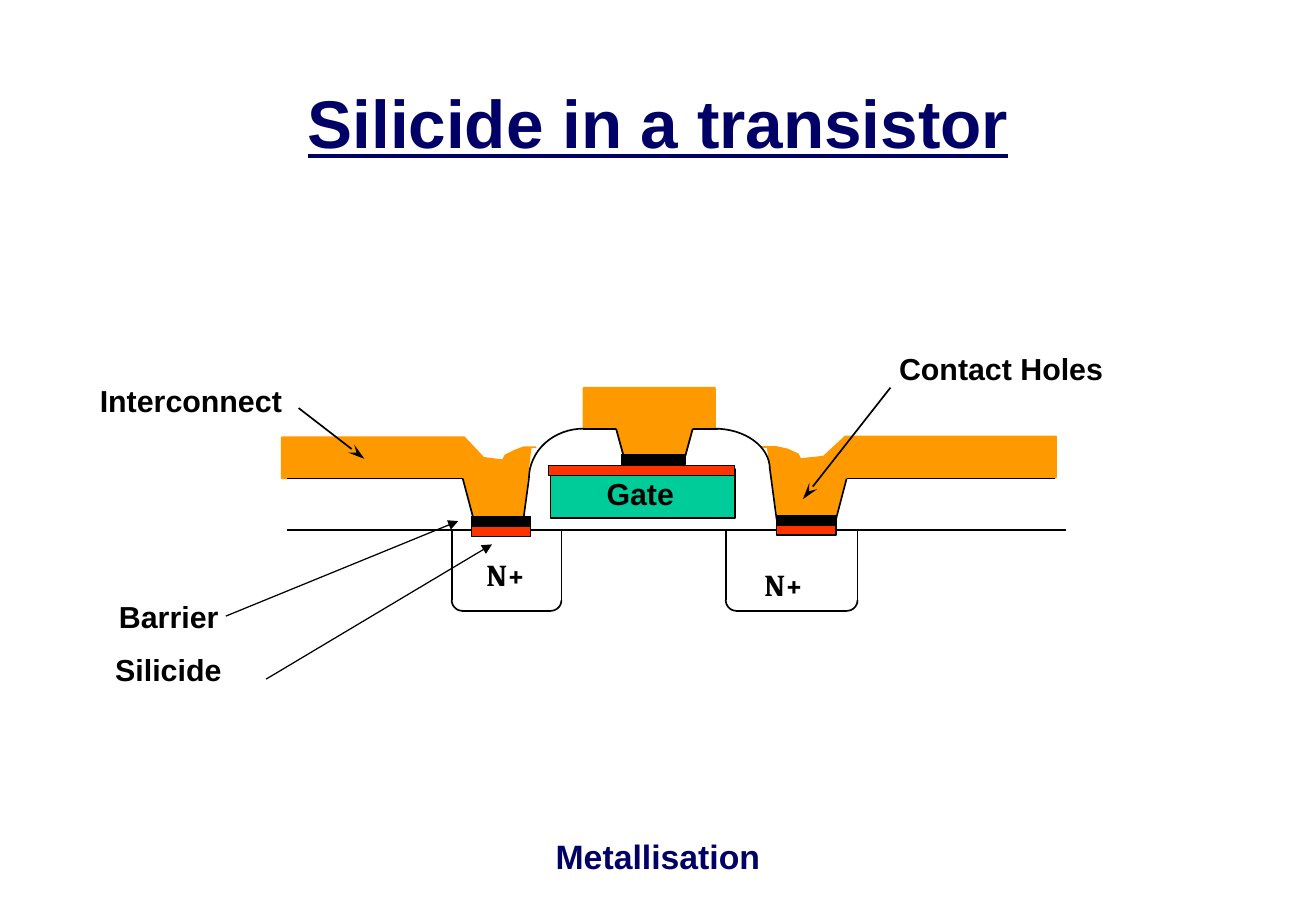
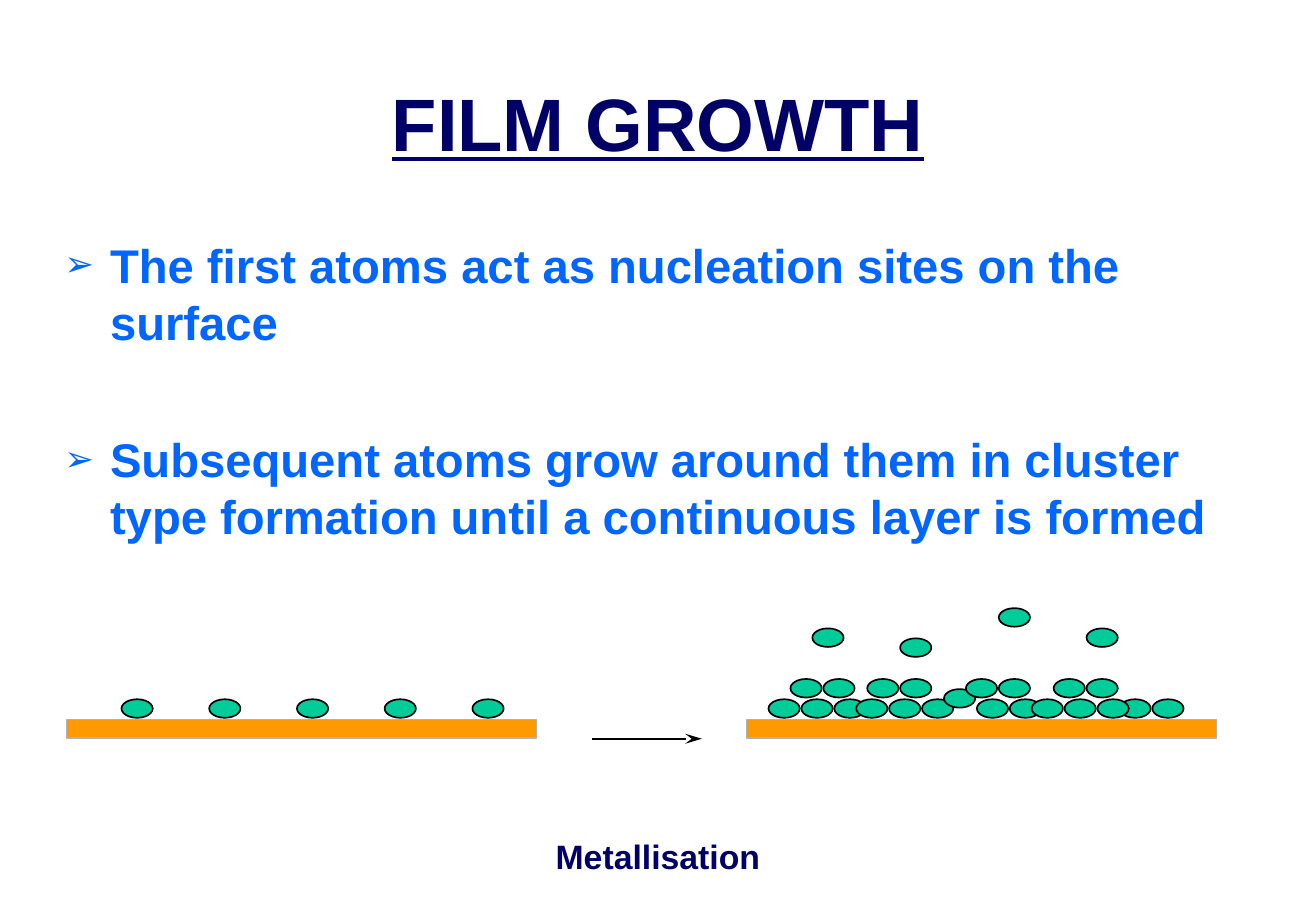
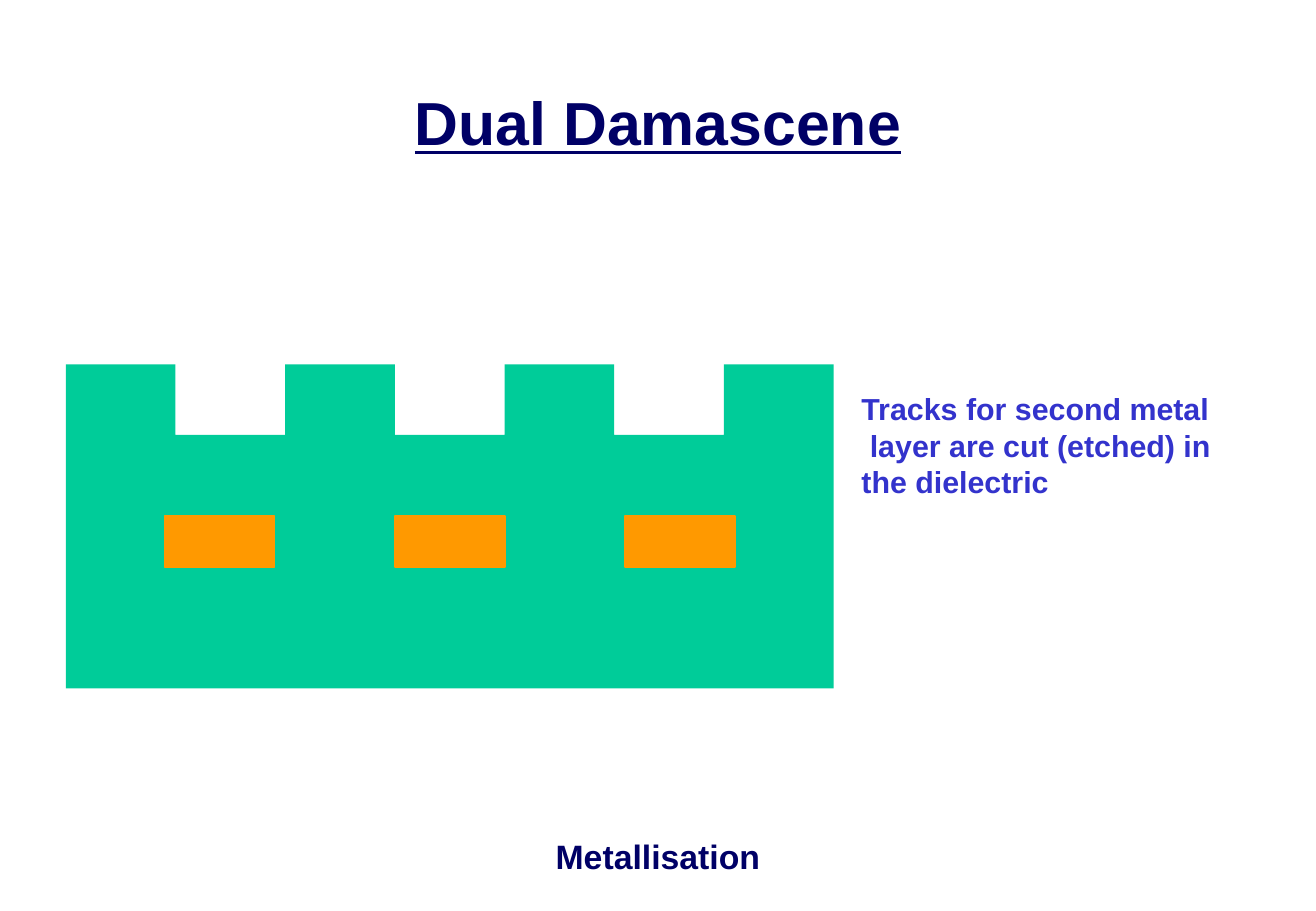
from dataclasses import dataclass
from itertools import pairwise
from math import cos, radians, sin
from typing import NamedTuple

from lxml import etree
from pptx import Presentation
from pptx.dml.color import RGBColor
from pptx.enum.shapes import MSO_CONNECTOR, MSO_SHAPE
from pptx.enum.text import MSO_ANCHOR, MSO_AUTO_SIZE, PP_ALIGN
from pptx.oxml.ns import qn
from pptx.util import Pt

RECTANGLE, OVAL = MSO_SHAPE.RECTANGLE, MSO_SHAPE.OVAL
STRAIGHT = MSO_CONNECTOR.STRAIGHT
CENTER, LEFT = PP_ALIGN.CENTER, PP_ALIGN.LEFT
TOP, MIDDLE = MSO_ANCHOR.TOP, MSO_ANCHOR.MIDDLE
NO_FIT = MSO_AUTO_SIZE.NONE
TITLE_AND_BODY, TITLE_ONLY = 1, 5


@dataclass(frozen=True)
class Theme:
    """Colours, fonts and type sizes shared by the slides."""

    navy: str = "000066"
    blue: str = "0066FF"
    violet: str = "3333CC"
    metal: str = "FF9900"
    green: str = "00CC99"
    silicide: str = "FF3300"
    black: str = "000000"
    grey: str = "B2B2B2"
    sans: str = "Arial"
    serif: str = "Cambria"
    footer_size: int = 20
    body_size: int = 28
    label_size: int = 18


THEME = Theme()


class Box(NamedTuple):
    """A frame in points."""

    x: float
    y: float
    w: float
    h: float


class Point(NamedTuple):
    """A position in points."""

    x: float
    y: float


@dataclass(frozen=True)
class Label:
    """A short text placed beside or on a drawing."""

    text: str
    box: Box
    font: str = THEME.sans


@dataclass(frozen=True)
class Arrow:
    """A straight arrow with its head at the end point."""

    start: Point
    end: Point
    head: str = "stealth"
    head_length: str = "lg"
    width: float = 1


def rgb(color: str) -> RGBColor:
    """Turn a hex string into a colour."""
    return RGBColor.from_string(color)


def place(shape, box: Box) -> None:
    """Move and size a shape."""
    shape.left, shape.top, shape.width, shape.height = (Pt(v) for v in box)


def write(paragraph, text: str, size: float, color: str, font: str = THEME.sans,
          underline: bool = False, align=LEFT) -> None:
    """Add one bold run to a paragraph."""
    paragraph.alignment = align
    run = paragraph.add_run()
    run.text = text
    run.font.name, run.font.size = font, Pt(size)
    run.font.bold, run.font.underline = True, underline
    run.font.color.rgb = rgb(color)


def style(shape, fill: str | None, line: str | None, width: float = 1) -> None:
    """Set fill and outline and drop the shadow."""
    shape.shadow.inherit = False
    if fill:
        shape.fill.solid()
        shape.fill.fore_color.rgb = rgb(fill)
    else:
        shape.fill.background()
    if line:
        shape.line.color.rgb = rgb(line)
        shape.line.width = Pt(width)
    else:
        shape.line.fill.background()


def add_preset(slide, kind, box: Box, fill: str, line: str, width: float = 1) -> None:
    """Draw a preset shape."""
    style(slide.shapes.add_shape(kind, *(Pt(v) for v in box)), fill, line, width)


def add_outline(slide, points: list, fill: str | None, line: str | None,
                close: bool = False) -> None:
    """Draw a freeform through the points."""
    corners = [(Pt(x), Pt(y)) for x, y in points]
    builder = slide.shapes.build_freeform(*corners[0])
    builder.add_line_segments(corners[1:], close=close)
    style(builder.convert_to_shape(), fill, line)


def add_line(slide, start: Point, end: Point, width: float = 1):
    """Draw a straight black line without a shadow."""
    line = slide.shapes.add_connector(STRAIGHT, *(Pt(v) for v in (*start, *end)))
    line.line.color.rgb = rgb(THEME.black)
    line.line.width = Pt(width)
    etree.SubElement(line._element.spPr, qn("a:effectLst"))
    return line


def add_arrow(slide, arrow: Arrow) -> None:
    """Draw an arrow."""
    line = add_line(slide, arrow.start, arrow.end, arrow.width)
    etree.SubElement(line.line._get_or_add_ln(), qn("a:tailEnd"),
                     type=arrow.head, w="med", len=arrow.head_length)


def add_text(slide, box: Box, lines: list[str], size: float, color: str,
             font: str = THEME.sans, align=LEFT, wrap: bool = False) -> None:
    """Add a text box with one paragraph for each line."""
    frame = slide.shapes.add_textbox(*(Pt(v) for v in box)).text_frame
    frame.word_wrap = wrap
    for index, line in enumerate(lines):
        paragraph = frame.add_paragraph() if index else frame.paragraphs[0]
        write(paragraph, line, size, color, font, align=align)


def add_label(slide, label: Label) -> None:
    """Add a black drawing label."""
    add_text(slide, label.box, [label.text], THEME.label_size, THEME.black, label.font)


def add_arc(slide, center: Point, rx: float, ry: float, start: int) -> None:
    """Draw a quarter ellipse from an angle measured clockwise from the right."""
    steps = 16
    angles = [radians(start + 90 * i / steps) for i in range(steps + 1)]
    points = [Point(center.x + rx * cos(a), center.y + ry * sin(a)) for a in angles]
    add_outline(slide, points, None, THEME.black)


def new_slide(prs, layout: int, title: str, size: float):
    """Add a slide with the shared title style and footer."""
    slide = prs.slides.add_slide(prs.slide_layouts[layout])
    add_text(slide, Box(266.5, 491.8, 247, 36), ["Metallisation"],
             THEME.footer_size, THEME.navy, align=CENTER, wrap=True)
    heading = slide.shapes.title
    place(heading, Box(32.5, 27, 715, 90))
    frame = heading.text_frame
    frame.vertical_anchor, frame.auto_size = MIDDLE, NO_FIT
    write(frame.paragraphs[0], title, size, THEME.navy, underline=True, align=CENTER)
    return slide


def add_bullets(slide, items: list[str], gap: float) -> None:
    """Fill the body placeholder with arrow bullets."""
    body = slide.placeholders[1]
    place(body, Box(31, 136.4, 719.3, 324))
    frame = body.text_frame
    frame.vertical_anchor, frame.auto_size = TOP, NO_FIT
    for index, item in enumerate(items):
        paragraph = frame.add_paragraph() if index else frame.paragraphs[0]
        props = paragraph._p.get_or_add_pPr()
        props.set("marL", str(Pt(27)))
        props.set("indent", str(-Pt(27)))
        bullet_color = etree.SubElement(props, qn("a:buClr"))
        etree.SubElement(bullet_color, qn("a:srgbClr"), val=THEME.blue)
        etree.SubElement(props, qn("a:buSzPct"), val="75000")
        etree.SubElement(props, qn("a:buFont"), typeface=THEME.sans)
        etree.SubElement(props, qn("a:buChar"), char="➢")
        paragraph.space_before = Pt(gap if index else 0)
        write(paragraph, item, THEME.body_size, THEME.blue)


def add_well(slide, left: float, right: float) -> None:
    """Draw a doped well with rounded lower corners."""
    top, bottom, radius = 313.9, 362.1, 6.3
    level = bottom - radius
    for side in (left, right):
        add_line(slide, Point(side, top), Point(side, level))
    add_arc(slide, Point(left + radius, level), radius, radius, 90)
    add_arc(slide, Point(right - radius, level), radius, radius, 0)
    add_line(slide, Point(left + radius, bottom), Point(right - radius, bottom))


def build_transistor(prs) -> None:
    """Build the transistor cross-section."""
    slide = new_slide(prs, TITLE_ONLY, "Silicide in a transistor", 40)
    metal_tracks = [
        [(451.4, 265), (460, 265), (466.6, 266.4), (473, 269.3), (474.5, 272.2),
         (488.2, 270.7), (501.1, 258.7), (625.9, 258.7), (625.9, 283.2),
         (501.1, 283.2), (494.6, 307.4), (461.5, 307.4), (455, 265)],
        [(345.9, 229.9), (345.9, 254.2), (365.2, 254.2), (371.7, 277.9),
         (404.1, 277.9), (410.6, 254.2), (423.8, 254.2), (423.8, 229.9)],
        [(317.5, 265.2), (310.3, 265.2), (305.3, 267.1), (299.5, 270), (298.1, 272.9),
         (286.6, 271.4), (275.2, 259.2), (167, 259.2), (167, 283.5), (275.2, 283.5),
         (280.8, 307.4), (309.6, 307.4), (314.6, 265.2)],
    ]
    for track in metal_tracks:
        add_outline(slide, track, THEME.metal, THEME.metal, close=True)

    add_line(slide, Point(170.2, 314.1), Point(631.6, 314.1))
    add_preset(slide, RECTANGLE, Box(326.3, 278, 109.4, 29), THEME.green, THEME.black)
    for left, right in ((267.8, 332.8), (430.2, 508.3)):
        add_well(slide, left, right)

    dielectric_edges = [
        [(170.2, 283.7), (274.3, 283.7), (280.8, 308.2)],
        [(310.3, 307.4), (313.5, 283.7)],
        [(345.6, 254.1), (365.2, 254.1), (371.7, 277.9)],
        [(404.1, 277.9), (410.6, 254.1), (425.3, 254.1)],
        [(456.3, 277.9), (460.4, 308.2)],
        [(495.4, 308.2), (501.8, 283.7), (625.2, 283.7)],
    ]
    for edge in dielectric_edges:
        for start, end in pairwise(edge):
            add_line(slide, Point(*start), Point(*end))
    add_arc(slide, Point(345.9, 283.7), 32.4, 29.6, 180)
    add_arc(slide, Point(423.5, 277.9), 32.8, 23.8, 270)

    film = 5.8
    films = [
        (THEME.silicide, [(279.5, 312.1, 35), (325, 275.9, 110.3), (460.3, 311.4, 35.3)]),
        (THEME.black, [(279.5, 306.2, 35), (368.6, 269.4, 37.4), (460.3, 305.6, 35.3)]),
    ]
    for color, strips in films:
        for x, y, width in strips:
            add_preset(slide, RECTANGLE, Box(x, y, width, film), color, THEME.black, 0.75)

    height = 28.8
    for label in (
        Label("Contact Holes", Box(525.8, 203.8, 135.4, height)),
        Label("Interconnect", Box(52.1, 223.2, 122.4, height)),
        Label("Barrier", Box(63.4, 351.1, 73.4, height)),
        Label("Silicide", Box(61.2, 382.5, 110, height)),
        Label("Gate", Box(352.4, 277.9, 54.4, height)),
        Label("N+", Box(281.2, 326.3, 38.5, height), THEME.serif),
        Label("N+", Box(446, 332.1, 38.5, height), THEME.serif),
    ):
        add_text(slide, label.box, [label.text], THEME.label_size, THEME.black,
                 label.font, wrap=label.text == "Silicide")

    for arrow in (
        Arrow(Point(527.8, 229.8), Point(475.9, 295.9)),
        Arrow(Point(177, 241.9), Point(216, 272)),
        Arrow(Point(133.9, 365.2), Point(271.6, 308.9), "triangle", "med", 0.75),
        Arrow(Point(157.7, 402.6), Point(291.6, 322.7), "triangle", "med", 0.75),
    ):
        add_arrow(slide, arrow)


def build_film_growth(prs) -> None:
    """Build the film growth slide with sparse and clustered atoms."""
    slide = new_slide(prs, TITLE_AND_BODY, "FILM GROWTH", 44)
    add_bullets(slide, [
        "The first atoms act as nucleation sites on the surface",
        "Subsequent atoms grow around them in cluster type formation "
        "until a continuous layer is formed",
    ], gap=48)

    pitch, half_step = 52, 6.5
    surface_row, second_row = 414.5, 402.5
    before, after = 39.5, 442.5
    first_atom = 32.5
    for left in (before, after):
        add_preset(slide, RECTANGLE, Box(left, 426.5, 278.6, 11), THEME.metal, THEME.grey)

    nuclei = [(left + first_atom + i * pitch, surface_row)
              for left in (before, after) for i in range(5)]
    origin = after + first_atom
    steps_by_row = [
        (surface_row, (-3, 3, 5, 11, 19, 21, 29, 27)),
        (408.5, (13,)),
        (second_row, (2, -1, 6, 9, 18, 15, 26, 23)),
        (372.5, (1, 26)),
        (378.4, (9,)),
        (360.5, (18,)),
    ]
    cluster = [(origin + step * half_step, row)
               for row, steps in steps_by_row for step in steps]
    for x, y in nuclei + cluster:
        add_preset(slide, OVAL, Box(x, y, 18.5, 11), THEME.green, THEME.black)
    add_arrow(slide, Arrow(Point(350.8, 437.9), Point(416, 437.9)))


def build_dual_damascene(prs) -> None:
    """Build the dielectric with etched tracks over metal lines."""
    slide = new_slide(prs, TITLE_ONLY, "Dual Damascene", 36)
    left, top, floor, bottom, tooth = 39, 216, 257.8, 408, 65.02
    profile = [(left, bottom)]
    for index in range(7):
        level = floor if index % 2 else top
        profile += [(left + index * tooth, level), (left + (index + 1) * tooth, level)]
    profile.append((left + 7 * tooth, bottom))
    add_outline(slide, profile, THEME.green, None, close=True)
    for index in range(3):
        add_preset(slide, RECTANGLE, Box(97.6 + index * 136.4, 306, 65.2, 30.2),
                   THEME.metal, THEME.metal)
    add_text(slide, Box(503.5, 227.8, 226, 72),
             ["Tracks for second metal", " layer are cut (etched) in", "the dielectric"],
             THEME.label_size, THEME.violet)


def main() -> None:
    """Build and save the presentation."""
    prs = Presentation()
    prs.slide_width, prs.slide_height = Pt(780), Pt(540)
    build_transistor(prs)
    build_film_growth(prs)
    build_dual_damascene(prs)
    prs.save("out.pptx")


if __name__ == "__main__":
    main()
